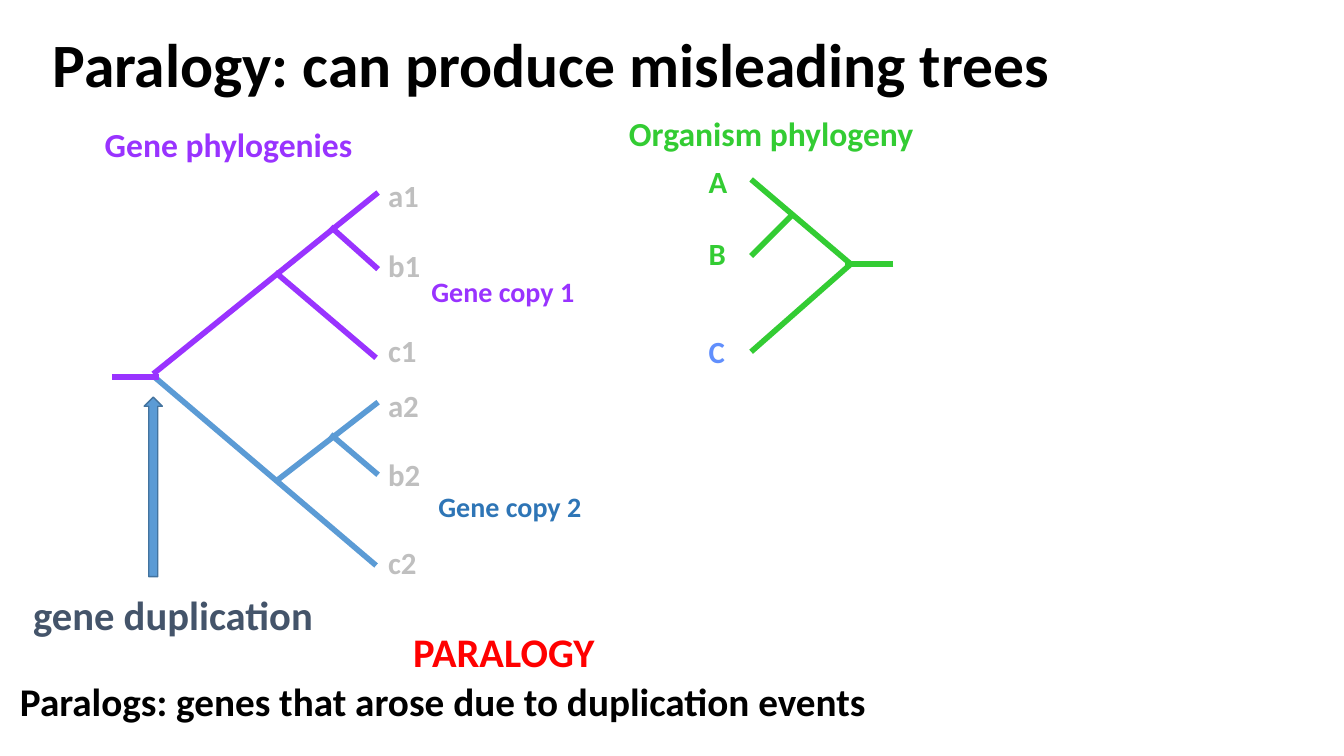
from dataclasses import dataclass

from lxml import etree
from pptx import Presentation
from pptx import util as u
from pptx.dml.color import RGBColor
from pptx.enum import shapes, text
from pptx.oxml.ns import qn


@dataclass(frozen=True)
class Theme:
    font: str = "Calibri"
    black: str = "000000"
    purple: str = "9933FF"
    blue: str = "5B9BD5"
    blue_outline: str = "43739E"
    blue_text: str = "2E75B6"
    green: str = "33CC33"
    periwinkle: str = "618FFD"
    slate: str = "44546A"
    gray: str = "BFBFBF"
    red: str = "FF0000"
    title: int = 44
    callout: int = 29
    definition: int = 28
    heading: int = 24
    tip: int = 22
    copy_label: int = 20
    branch: int = 4


@dataclass(frozen=True)
class Box:
    left: float
    top: float
    width: float
    height: float

    def at(self, x, y, width=0, height=0):
        """Return a box placed relative to this one's top left corner."""
        return Box(self.left + x, self.top + y, width, height)

    def lengths(self):
        return [u.Inches(v) for v in (self.left, self.top, self.width, self.height)]


THEME = Theme()


def write(shape, words, size, color):
    paragraph = shape.text_frame.paragraphs[0]
    paragraph.text = words
    paragraph.alignment = text.PP_ALIGN.LEFT
    font = paragraph.runs[0].font
    values = {"name": THEME.font, "size": u.Pt(size), "bold": True}
    for name, value in values.items():
        setattr(font, name, value)
    font.color.rgb = RGBColor.from_string(color)
    return paragraph


def add_label(slide, box, words, size, color, wrap=False):
    shape = slide.shapes.add_textbox(*box.lengths())
    shape.text_frame.word_wrap = wrap
    if not wrap:
        shape.text_frame.auto_size = text.MSO_AUTO_SIZE.SHAPE_TO_FIT_TEXT
    write(shape, words, size, color)


def add_branches(slide, box, color, branches):
    """Draw lines given as (x1, y1, x2, y2) from the box corner."""
    for x1, y1, x2, y2 in branches:
        start, end = box.at(x1, y1), box.at(x2, y2)
        line = slide.shapes.add_connector(
            shapes.MSO_CONNECTOR.STRAIGHT,
            *start.lengths()[:2], *end.lengths()[:2])
        line.line.color.rgb = RGBColor.from_string(color)
        line.line.width = u.Pt(THEME.branch)
        etree.SubElement(line._element.spPr, qn("a:effectLst"))


def add_title(slide, box):
    title = slide.shapes.title
    for name, value in zip(("left", "top", "width", "height"), box.lengths()):
        setattr(title, name, value)
    title.text_frame.vertical_anchor = text.MSO_ANCHOR.MIDDLE
    paragraph = write(title, "Paralogy: can produce misleading trees",
                      THEME.title, THEME.black)
    paragraph.line_spacing = 0.9


def add_gene_tree(slide, box):
    add_label(slide, box.at(0, 0, 2.7, 0.5), "Gene phylogenies",
              THEME.heading, THEME.purple)
    add_branches(slide, box, THEME.blue, [
        (2.81, 2.81, 1.79, 3.6), (2.79, 4.43, 0.58, 2.55), (2.81, 3.53, 2.34, 3.13)])
    add_branches(slide, box, THEME.purple, [
        (2.81, 0.73, 0.58, 2.53), (2.79, 2.37, 1.79, 1.52),
        (2.81, 1.49, 2.34, 1.07), (0.64, 2.56, 0.17, 2.56)])
    tips = {"a1": 0.52, "b1": 1.22, "c1": 2.06, "a2": 2.61, "b2": 3.29, "c2": 4.16}
    for gene, y in tips.items():
        add_label(slide, box.at(2.81, y, 0.55, 0.47), gene, THEME.tip, THEME.gray)
    for words, x, y, color in (("Gene copy 1", 3.24, 1.49, THEME.purple),
                               ("Gene copy 2", 3.31, 3.63, THEME.blue_text)):
        add_label(slide, box.at(x, y, 1.63, 0.43), words, THEME.copy_label, color)


def add_organism_tree(slide, box):
    add_label(slide, box.at(0, 0, 3.07, 0.5), "Organism phylogeny",
              THEME.heading, THEME.green)
    add_branches(slide, box, THEME.green, [
        (1.31, 0.71, 2.31, 1.56), (1.31, 2.42, 2.31, 1.54),
        (1.31, 1.47, 1.73, 1.05), (2.72, 1.55, 2.24, 1.55)])
    for organism, y, color in (("A", 0.5, THEME.green), ("B", 1.21, THEME.green),
                               ("C", 2.18, THEME.periwinkle)):
        add_label(slide, box.at(0.79, y, 0.4, 0.47), organism, THEME.tip, color)


def add_duplication_event(slide, box):
    arrow = slide.shapes.add_shape(
        shapes.MSO_SHAPE.DOWN_ARROW, *box.at(1.2, 0, 0.18, 1.78).lengths())
    arrow.rotation = 180
    arrow.shadow.inherit = False
    arrow.fill.solid()
    arrow.fill.fore_color.rgb = RGBColor.from_string(THEME.blue)
    arrow.line.color.rgb = RGBColor.from_string(THEME.blue_outline)
    arrow.line.width = u.Pt(1)
    add_label(slide, box.at(0, 1.86, 3.02, 0.59), "gene duplication",
              THEME.callout, THEME.slate)


def add_definition(slide, box):
    add_label(slide, box.at(3.9, 0, 2.07, 0.59), "PARALOGY",
              THEME.callout, THEME.red)
    add_label(slide, box.at(0, 0.5, box.width, 0.6),
              "Paralogs: genes that arose due to duplication events",
              THEME.definition, THEME.black, wrap=True)


def main():
    presentation = Presentation()
    presentation.slide_width = u.Inches(13.33)
    presentation.slide_height = u.Inches(7.5)
    slide = presentation.slides.add_slide(
        presentation.slide_layouts.get_by_name("Title Only"))
    add_title(slide, Box(0.42, 0.05, 12.76, 1.25))
    add_gene_tree(slide, Box(0.94, 1.18, 4.94, 4.63))
    add_organism_tree(slide, Box(6.14, 1.07, 3.07, 2.65))
    add_duplication_event(slide, Box(0.23, 3.94, 3.02, 2.45))
    add_definition(slide, Box(0.1, 6.17, 12.07, 1.1))
    presentation.save("out.pptx")


if __name__ == "__main__":
    main()
